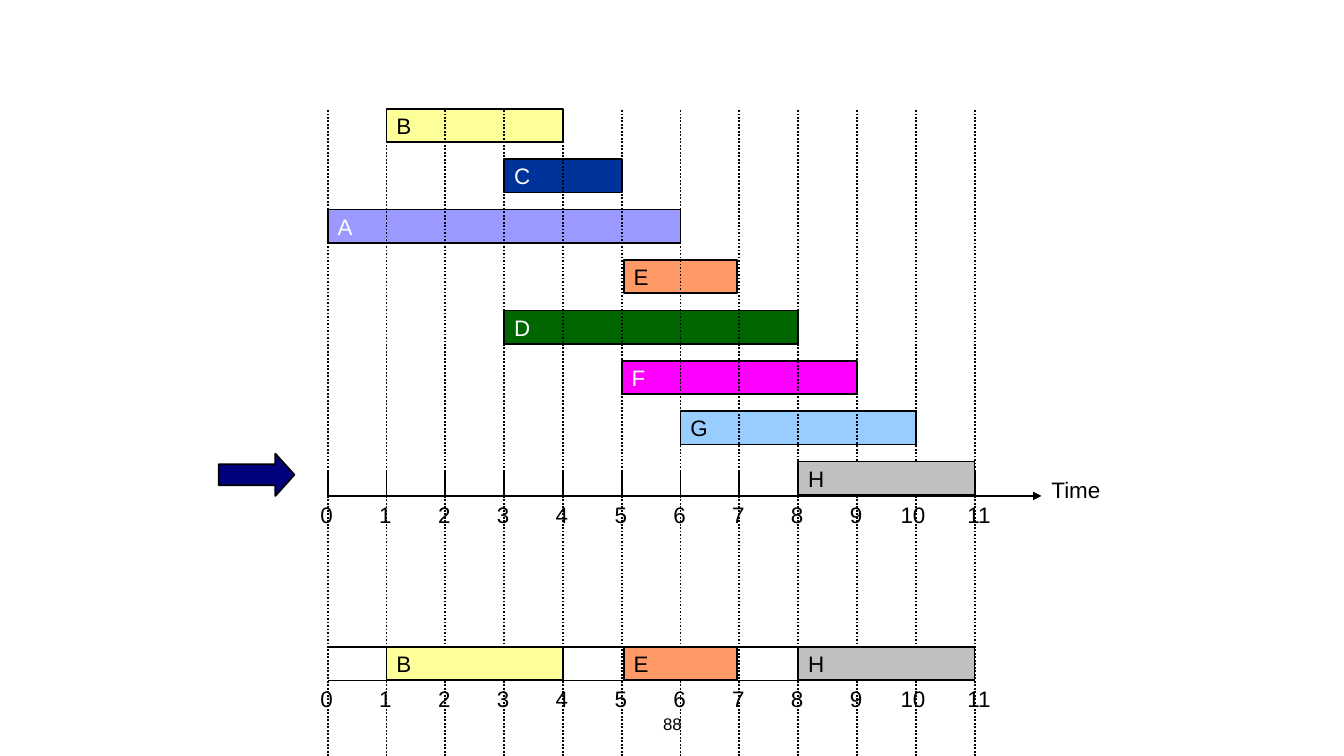
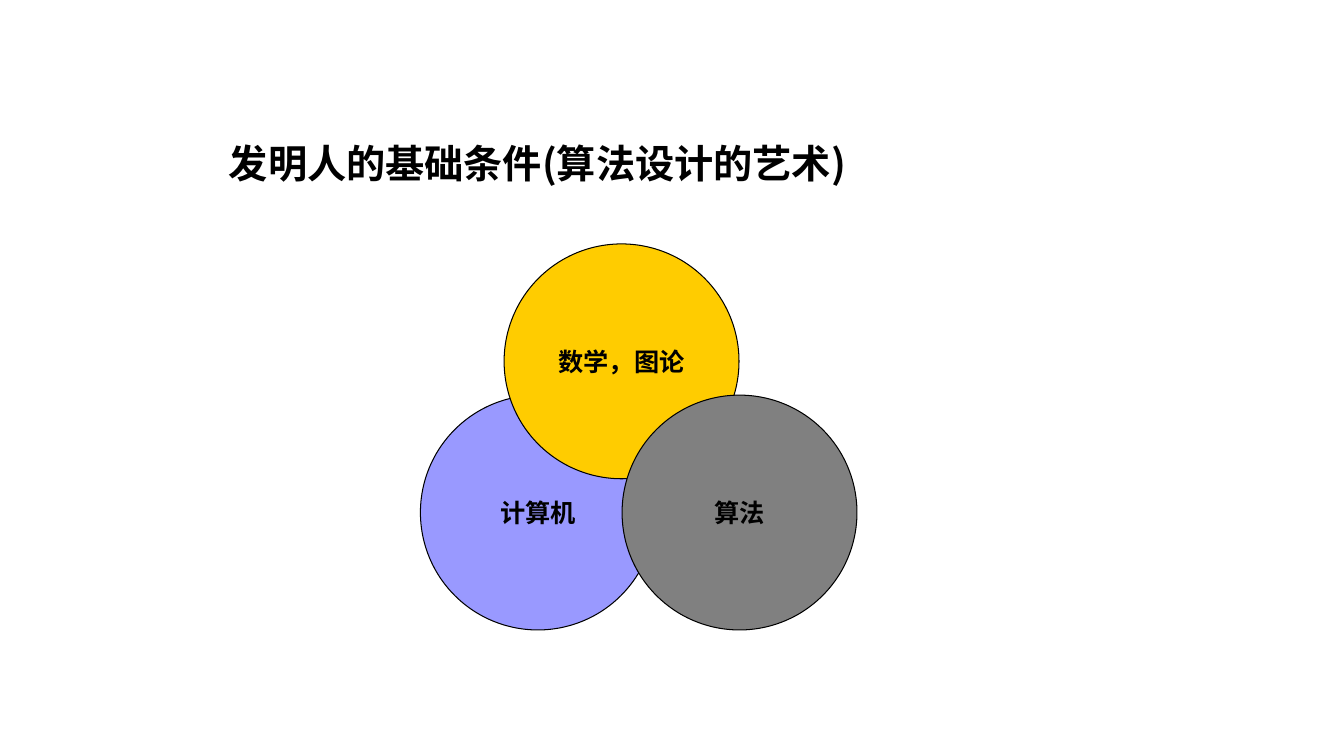
from dataclasses import dataclass

from lxml.etree import SubElement
from pptx import Presentation
from pptx.dml.color import RGBColor
from pptx.enum.dml import MSO_LINE
from pptx.enum.shapes import MSO_CONNECTOR, MSO_SHAPE
from pptx.enum.text import MSO_ANCHOR, PP_ALIGN
from pptx.oxml.ns import qn
from pptx.util import Inches, Pt


@dataclass(frozen=True)
class Theme:
    latin: str = "Arial"
    chinese: str = "Noto Sans CJK SC"
    black: str = "000000"
    white: str = "FFFFFF"
    navy: str = "00007D"
    blue: str = "003399"
    violet: str = "9999FF"
    yellow: str = "FFFF99"
    orange: str = "FF9966"
    green: str = "006600"
    magenta: str = "FF00FF"
    sky: str = "99CCFF"
    silver: str = "C0C0C0"
    gold: str = "FFCC00"
    gray: str = "808080"
    title_size: int = 28
    circle_size: int = 18
    label_size: int = 16
    page_size: int = 12
    line_width: float = 1.25
    thin_line: float = 0.75


class Builder:
    """Holds the deck, its theme and the slide being drawn."""

    def __init__(self, theme):
        self.theme = theme
        self.deck = Presentation()
        self.deck.slide_width = Inches(13.33)
        self.deck.slide_height = Inches(7.5)
        self.slide = None

    def new_slide(self, layout_index):
        layout = self.deck.slide_layouts[layout_index]
        self.slide = self.deck.slides.add_slide(layout)

    def set_text(self, shape, text, size, color, align=PP_ALIGN.LEFT,
                 anchor=MSO_ANCHOR.TOP, bold=False, wrap=True, latin=None):
        frame = shape.text_frame
        frame.text = text
        frame.word_wrap = wrap
        frame.vertical_anchor = anchor
        para = frame.paragraphs[0]
        para.alignment = align
        for span in para.runs:
            span.font.name = latin or self.theme.latin
            span.font.size = Pt(size)
            span.font.bold = bold
            span.font.color.rgb = RGBColor.from_string(color)
            east_asian = SubElement(span.font._element, qn("a:ea"))
            east_asian.set("typeface", self.theme.chinese)

    def title(self, text, left, top, width, height):
        box = self.slide.shapes.title
        box.left, box.top = Inches(left), Inches(top)
        box.width, box.height = Inches(width), Inches(height)
        self.set_text(box, text, self.theme.title_size, self.theme.black,
                      anchor=MSO_ANCHOR.MIDDLE, bold=True, latin=self.theme.chinese)

    def label(self, text, left, top, width, height, size=None, **style):
        box = self.slide.shapes.add_textbox(
            Inches(left), Inches(top), Inches(width), Inches(height))
        self.set_text(box, text, size or self.theme.label_size, self.theme.black, **style)

    def shape(self, kind, left, top, width, height, fill, line_width=None):
        shape = self.slide.shapes.add_shape(
            kind, Inches(left), Inches(top), Inches(width), Inches(height))
        shape.shadow.inherit = False
        shape.fill.solid()
        shape.fill.fore_color.rgb = RGBColor.from_string(fill)
        shape.line.color.rgb = RGBColor.from_string(self.theme.black)
        shape.line.width = Pt(line_width or self.theme.line_width)
        return shape

    def line(self, x1, y1, x2, y2, dotted=False, arrow=False):
        line = self.slide.shapes.add_connector(
            MSO_CONNECTOR.STRAIGHT, Inches(x1), Inches(y1), Inches(x2), Inches(y2))
        line.line.color.rgb = RGBColor.from_string(self.theme.black)
        line.line.width = Pt(self.theme.line_width)
        if dotted:
            line.line.dash_style = MSO_LINE.ROUND_DOT
        properties = line._element.spPr
        if arrow:
            outline = properties.find(qn("a:ln"))
            SubElement(outline, qn("a:tailEnd")).set("type", "triangle")
        SubElement(properties, qn("a:effectLst"))


# Time scale shared by both charts on the schedule slide
ORIGIN, UNIT, LAST_HOUR = 3.25, 7 / 12, 11
CHART_TOP, ROW_STEP, BAR_HEIGHT = 1.08, 0.5, 0.33
AXIS_Y, RESULT_TOP, RESULT_Y = 4.92, 6.42, 6.75


def hour_x(hour):
    return ORIGIN + hour * UNIT


def build_schedule(builder):
    theme = builder.theme
    builder.new_slide(6)
    # name: start, finish, fill, text colour, side gap; one row each
    jobs = {
        "B": (1, 4, theme.yellow, theme.black, 0),
        "C": (3, 5, theme.blue, theme.white, 0),
        "A": (0, 6, theme.violet, theme.white, 0),
        "E": (5, 7, theme.orange, theme.black, 0.02),
        "D": (3, 8, theme.green, theme.white, 0),
        "F": (5, 9, theme.magenta, theme.white, 0),
        "G": (6, 10, theme.sky, theme.black, 0),
        "H": (8, 11, theme.silver, theme.black, 0),
    }
    row_tops = {name: CHART_TOP + row * ROW_STEP for row, name in enumerate(jobs)}

    def job_bar(name, top):
        start, finish, fill, color, gap = jobs[name]
        bar = builder.shape(MSO_SHAPE.RECTANGLE, hour_x(start) + gap, top,
                            (finish - start) * UNIT - 2 * gap, BAR_HEIGHT, fill)
        builder.set_text(bar, name, theme.label_size, color, anchor=MSO_ANCHOR.MIDDLE)

    def dotted_grid(top, bottom):
        for hour in range(LAST_HOUR + 1):
            builder.line(hour_x(hour), bottom, hour_x(hour), top, dotted=True)

    def hour_labels(top):
        for hour in range(LAST_HOUR + 1):
            shift = 0.25 if hour == 10 else 0.17
            builder.label(str(hour), hour_x(hour) - shift, top, 0.5, 0.37)

    # Page number
    builder.label("88", 4.56, 6.83, 4.22, 0.5, size=theme.page_size,
                  align=PP_ALIGN.CENTER, anchor=MSO_ANCHOR.BOTTOM)

    # Chosen jobs at the bottom
    dotted_grid(4.67, 7.5)
    for y in (RESULT_TOP, RESULT_Y):
        builder.line(ORIGIN, y, hour_x(LAST_HOUR), y)
    hour_labels(RESULT_Y)
    for name in "BEH":
        job_bar(name, RESULT_TOP)

    # All jobs, with the current one (H) in front of the grid
    pointer = builder.shape(MSO_SHAPE.RIGHT_ARROW, 2.17, 4.5, 0.75, 0.42, theme.navy)
    pointer.adjustments[1] = 0.45
    builder.line(ORIGIN, AXIS_Y, 10.33, AXIS_Y, arrow=True)
    builder.label("Time", 10.33, 4.67, 0.92, 0.37)
    for name in "BCAEDFG":
        job_bar(name, row_tops[name])
    dotted_grid(CHART_TOP, AXIS_Y)
    hour_labels(AXIS_Y)
    job_bar("H", row_tops["H"])


def build_foundations(builder):
    theme = builder.theme
    builder.new_slide(5)
    builder.title("发明人的基础条件(算法设计的艺术)", 2.17, 1.33, 9, 0.58)

    # Three overlapping circles
    diameter = 2.33
    circles = [
        ("计算机", 4.17, 3.92, theme.violet),
        ("数学，图论", 5, 2.42, theme.gold),
        ("算法", 6.17, 3.92, theme.gray),
    ]
    for text, left, top, fill in circles:
        circle = builder.shape(MSO_SHAPE.OVAL, left, top, diameter, diameter,
                               fill, theme.thin_line)
        builder.set_text(circle, text, theme.circle_size, theme.black, PP_ALIGN.CENTER,
                         MSO_ANCHOR.MIDDLE, bold=True, wrap=False)


def main():
    builder = Builder(Theme())
    build_schedule(builder)
    build_foundations(builder)
    builder.deck.save("out.pptx")


if __name__ == "__main__":
    main()
